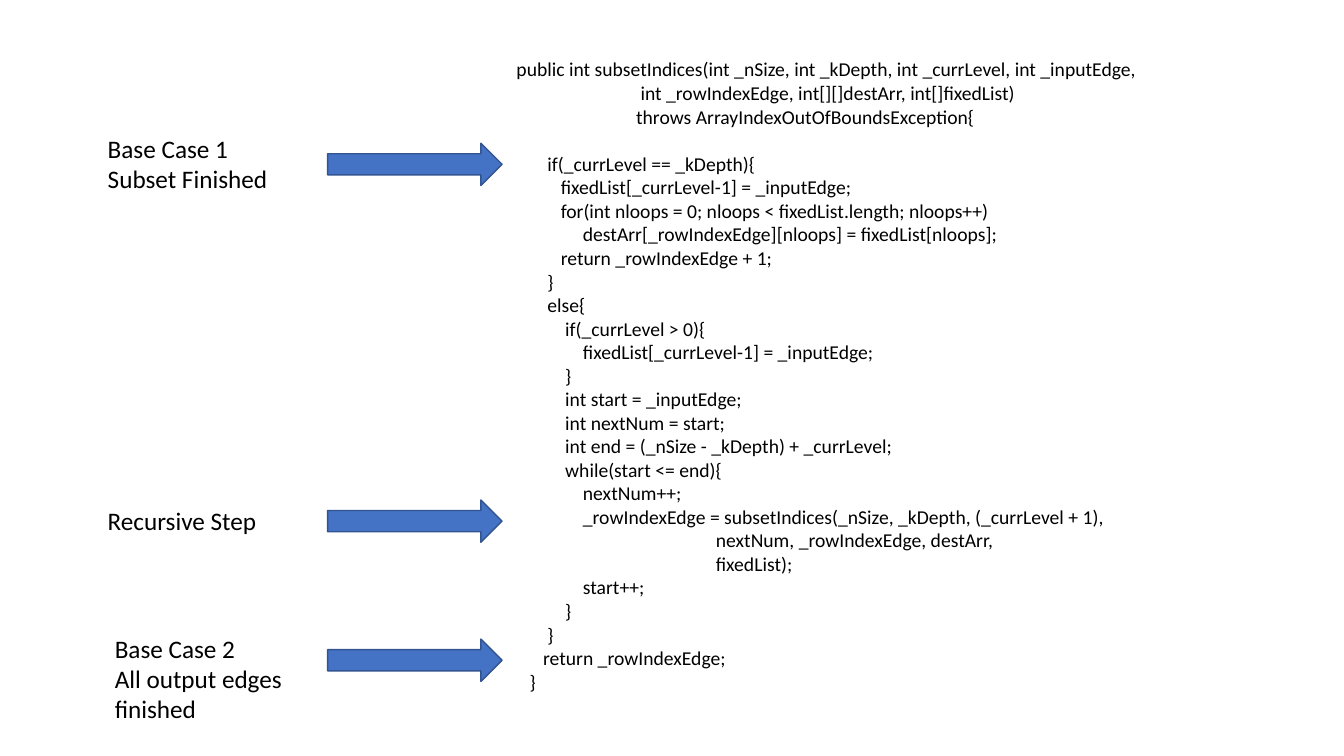
from pptx import Presentation
from pptx import util as u
from pptx.dml.color import RGBColor
from pptx.enum import shapes, text

COLORS = {"text": "000000", "arrow": "4472C4", "outline": "325491"}
FONT = "Calibri"

SIGNATURE = """\
 public int subsetIndices(int _nSize, int _kDepth, int _currLevel, int _inputEdge,
                             int _rowIndexEdge, int[][]destArr, int[]fixedList)
                            throws ArrayIndexOutOfBoundsException{"""

BASE_CASE = """\
        if(_currLevel == _kDepth){
           fixedList[_currLevel-1] = _inputEdge;
           for(int nloops = 0; nloops < fixedList.length; nloops++)
                destArr[_rowIndexEdge][nloops] = fixedList[nloops];
           return _rowIndexEdge + 1;
        }"""

RECURSION = """\
        else{
            if(_currLevel > 0){
                fixedList[_currLevel-1] = _inputEdge;
            }
            int start = _inputEdge;
            int nextNum = start;
            int end = (_nSize - _kDepth) + _currLevel;
            while(start <= end){
                nextNum++;
                _rowIndexEdge = subsetIndices(_nSize, _kDepth, (_currLevel + 1),
                                              nextNum, _rowIndexEdge, destArr,
                                              fixedList);
                start++;
            }
        }
       return _rowIndexEdge;
    }"""

STEPS = [
    ("Base Case 1\nSubset Finished", (0.97, 1.27, 2.28, 0.71), 1.42),
    ("Recursive Step", (0.97, 4.96, 2.28, 0.4), 4.96),
    ("Base Case 2\nAll output edges finished", (1.04, 6.23, 2.4, 1.01), 6.34),
]


def rgb(name):
    """Return the named palette colour."""
    return RGBColor.from_string(COLORS[name])


def add_text(s, blocks, box, size=18, color="text", gap=0):
    """Add a text box with one paragraph per line and a gap between blocks."""
    tf = s.shapes.add_textbox(*map(u.Inches, box)).text_frame
    tf.word_wrap = True
    tf.auto_size = text.MSO_AUTO_SIZE.SHAPE_TO_FIT_TEXT
    p = None
    for block in blocks:
        for i, line in enumerate(block.split("\n")):
            first = p is None
            p = tf.paragraphs[0] if first else tf.add_paragraph()
            if i == 0 and not first:
                p.space_before = u.Pt(gap)
            r = p.add_run()
            r.text = line
            r.font.name = FONT
            r.font.size = u.Pt(size)
            r.font.color.rgb = rgb(color)


def add_arrow(s, top):
    """Add a block arrow pointing from a label to the code."""
    sp = s.shapes.add_shape(shapes.MSO_SHAPE.RIGHT_ARROW, u.Inches(3.25),
                            u.Inches(top), u.Inches(1.73), u.Inches(0.42))
    sp.shadow.inherit = False
    sp.fill.solid()
    sp.fill.fore_color.rgb = rgb("arrow")
    sp.line.color.rgb = rgb("outline")
    sp.line.width = u.Pt(1)


def main():
    """Build the slide and save it."""
    prs = Presentation()
    prs.slide_width, prs.slide_height = u.Inches(13.33), u.Inches(7.5)
    s = prs.slides.add_slide(prs.slide_layouts[6])
    code = [SIGNATURE, BASE_CASE + "\n" + RECURSION]
    add_text(s, code, (4.98, 0.52, 6.72, 6.46), size=14, gap=17)
    for label, box, arrow_top in STEPS:
        add_arrow(s, arrow_top)
        add_text(s, [label], box)
    prs.save("out.pptx")


if __name__ == "__main__":
    main()
